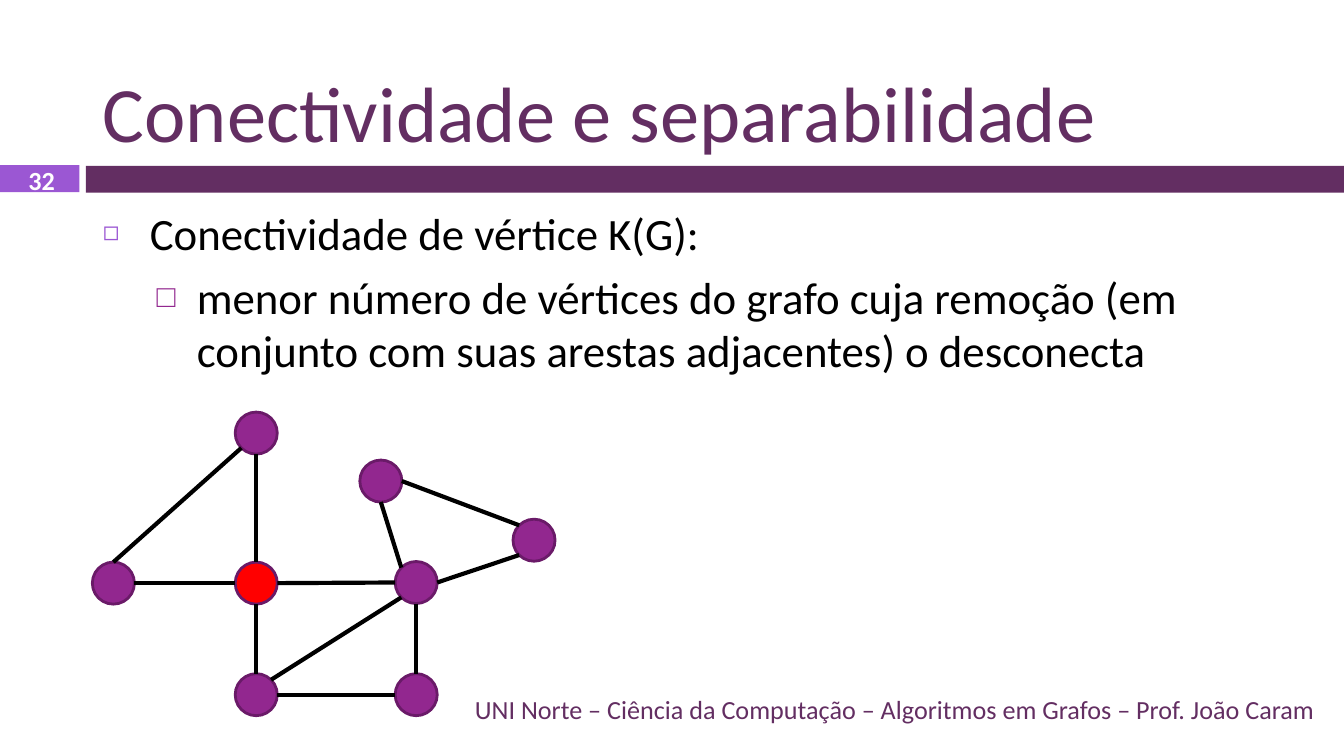
from math import cos, radians, sin

from lxml import etree
from pptx import Presentation
from pptx.dml.color import RGBColor
from pptx.enum.shapes import MSO_CONNECTOR, MSO_SHAPE
from pptx.enum.text import MSO_ANCHOR, MSO_AUTO_SIZE, PP_ALIGN
from pptx.oxml.ns import qn
from pptx.util import Emu, Inches, Pt

RECT, OVAL = MSO_SHAPE.RECTANGLE, MSO_SHAPE.OVAL
LINE = MSO_CONNECTOR.STRAIGHT
LEFT, MID, RIGHT = PP_ALIGN.LEFT, PP_ALIGN.CENTER, PP_ALIGN.RIGHT
BOTTOM, CENTER, TOP = MSO_ANCHOR.BOTTOM, MSO_ANCHOR.MIDDLE, MSO_ANCHOR.TOP
NO_FIT = MSO_AUTO_SIZE.NONE

FONT = "Calibri"
COLORS = {
    "plum": "632E62", "lilac": "9B57D3", "node": "92278F", "rim": "6A1A68",
    "cut": "FF0000", "ink": "000000", "white": "FFFFFF",
}

# The slide is a grid of 100 columns, with rows of the same size
WIDE, HIGH = Inches(10), Emu(5145088)
COLS = 100
CELL = WIDE / COLS
NODE = 3.13

# Vertex: left and top in the graph's box, fill
NODES = {
    "west": (0, 11.17, "node"),
    "peak": (10.63, 0, "node"),
    "hub": (10.63, 11.17, "cut"),
    "base": (10.63, 19.47, "node"),
    "east": (22.53, 11.12, "node"),
    "foot": (22.53, 19.47, "node"),
    "far": (31.3, 7.97, "node"),
    "roof": (19.9, 3.57, "node"),
}
ANGLES = {"E": 0, "SE": 45, "S": 90, "SW": 135, "W": 180, "NW": 225, "N": 270, "NE": 315}
EDGES = [
    ("foot", "W", "base", "E"), ("hub", "S", "base", "N"),
    ("east", "S", "foot", "N"), ("east", "SW", "base", "NE"),
    ("hub", "W", "west", "E"), ("peak", "SW", "west", "N"),
    ("peak", "S", "hub", "N"), ("far", "SW", "east", "E"),
    ("far", "NW", "roof", "E"), ("east", "NW", "roof", "S"),
    ("east", "W", "hub", "E"),
]
# Text, level, left margin and hang in inches, space before, mark, mark colour, mark size
ITEMS = [
    ("Conectividade de vértice K(G):", 0, 0.35, 0.35, 7, "◻", "lilac", 60),
    ("menor número de vértices do grafo cuja remoção (em conjunto com suas "
     "arestas adjacentes) o desconecta", 1, 0.7, 0.3, 5.5, "□", "node", 70),
]


def units(*cells):
    return [round(c * CELL) for c in cells]


def color(name):
    return RGBColor.from_string(COLORS[name])


def place(shape, box):
    shape.left, shape.top, shape.width, shape.height = units(*box)


def style(para, size, tone, align=LEFT, bold=False):
    para.alignment = align
    for run in para.runs:
        run.font.name, run.font.size, run.font.bold = FONT, Pt(size), bold
        run.font.color.rgb = color(tone)


def frame(shape, anchor):
    text = shape.text_frame
    text.word_wrap, text.auto_size, text.vertical_anchor = True, NO_FIT, anchor
    return text


def block(slide, kind, box, fill, rim=None):
    shape = slide.shapes.add_shape(kind, *units(*box))
    shape.shadow.inherit = False
    shape.fill.solid()
    shape.fill.fore_color.rgb = color(fill)
    if rim:
        shape.line.color.rgb = color(rim)
        shape.line.width = Pt(1.5)
    else:
        shape.line.fill.background()


def label(slide, box, words, tone, align, bold=False):
    text = frame(slide.shapes.add_textbox(*units(*box)), CENTER)
    text.text = words
    style(text.paragraphs[0], 14, tone, align, bold)


def title(slide, box):
    shape = slide.shapes.title
    place(shape, box)
    text = frame(shape, BOTTOM)
    text.text = "Conectividade e separabilidade"
    style(text.paragraphs[0], 42, "plum")


def band(slide, box):
    """Draw the page badge and the bar to its right."""
    x, y, w, h = box
    block(slide, RECT, (x + 6.4, y + 0.05, w - 6.4, h), "plum")
    block(slide, RECT, (x, y, 5.9, h), "lilac")
    label(slide, (x + 0.2, y + 0.1, 5.8, h), "32", "white", MID, True)


def bullet(para, left, hang, mark, tone, size):
    props = para._p.get_or_add_pPr()
    props.set("marL", str(Inches(left)))
    props.set("indent", str(-Inches(hang)))
    paint = etree.SubElement(props, qn("a:buClr"))
    etree.SubElement(paint, qn("a:srgbClr")).set("val", COLORS[tone])
    etree.SubElement(props, qn("a:buSzPct")).set("val", str(size * 1000))
    etree.SubElement(props, qn("a:buChar")).set("char", mark)


def body(slide, box):
    shape = slide.placeholders[1]
    place(shape, box)
    text = frame(shape, TOP)
    text.text = "\n".join(item[0] for item in ITEMS)
    for para, item in zip(text.paragraphs, ITEMS):
        _, level, left, hang, gap, mark, tone, size = item
        para.level = level
        bullet(para, left, hang, mark, tone, size)
        para.space_before = Pt(gap)
        style(para, 24, "ink")


def graph(slide, box):
    x, y = box[:2]

    def site(name, side):
        """Return the point on a vertex's rim at a compass side."""
        left, top, _ = NODES[name]
        turn, half = radians(ANGLES[side]), NODE / 2
        return units(x + left + half * (1 + cos(turn)),
                     y + top + half * (1 + sin(turn)))

    for left, top, fill in NODES.values():
        block(slide, OVAL, (x + left, y + top, NODE, NODE), fill, "rim")
    for start, out, end, into in EDGES:
        edge = slide.shapes.add_connector(LINE, *site(start, out), *site(end, into))
        edge.line.color.rgb = color("ink")
        edge.line.width = Pt(2.25)
        etree.SubElement(edge._element.spPr, qn("a:effectLst"))


def footer(slide, box):
    label(slide, box, "UNI Norte – Ciência da Computação – Algoritmos em Grafos "
          "– Prof. João Caram", "plum", RIGHT)


def main():
    deck = Presentation()
    deck.slide_width = WIDE
    deck.slide_height = HIGH
    slide = deck.slides.add_slide(deck.slide_layouts[1])
    band(slide, (0, 12.3, COLS, 2))
    title(slide, (6.65, 1.3, 92.2, 11))
    body(slide, (6.65, 14.78, 92.2, 35.8))
    footer(slide, (6.65, 51.25, 92.2, 3))
    graph(slide, (6.87, 30.67, 34.43, 22.6))
    deck.save("out.pptx")


if __name__ == "__main__":
    main()
